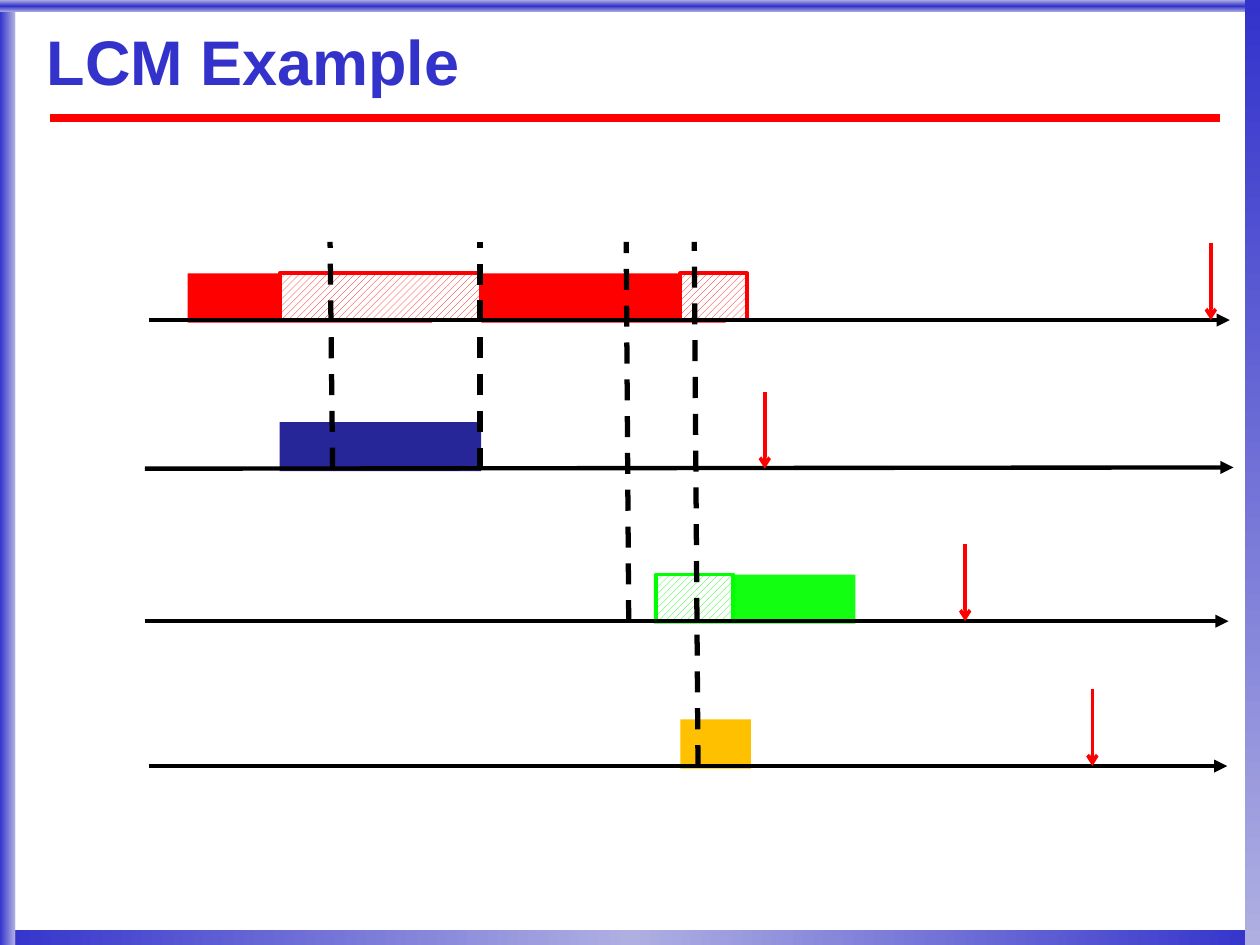
from typing import NamedTuple

from lxml import etree
from pptx import Presentation, util as u
from pptx.dml.color import RGBColor
from pptx.enum import dml, shapes, text
from pptx.oxml.ns import qn

W, H = 10, 7.5
BLOCK_RISE, DEADLINE_RISE, GUIDE_TOP = 0.37, 0.61, 1.92
COLORS = {"blue": "3333CC", "pale": "AFAFE2", "red": "FF0000", "navy": "262699",
          "green": "12FF12", "lime": "00FF00", "amber": "FFC000",
          "black": "000000", "white": "FFFFFF", "shade": "B2B2B2"}


class Border(NamedTuple):
    box: tuple[float, float, float, float]  # shares of the slide's size
    stops: tuple[str, ...]
    angle: int  # clockwise


class Axis(NamedTuple):
    left: float
    right: float
    y: float
    end_y: float
    deadline: float


class Block(NamedTuple):
    row: int
    left: float
    width: float
    color: str
    hatched: bool = False


class Guide(NamedTuple):
    row: int
    foot: float
    head: float


BORDERS = [
    Border((0, 0.984, 1, 0.016), ("blue", "pale", "blue"), 0),
    Border((0, 0, 0.012, 1), ("blue", "pale"), 0),
    Border((0, 0, 1, 0.013), ("pale", "blue", "pale"), 90),
    Border((0.988, 0, 0.012, 1), ("blue", "pale"), 90),
]
AXES = [
    Axis(1.18, 9.76, 2.54, 2.54, 9.61),
    Axis(1.15, 9.79, 3.72, 3.71, 6.07),
    Axis(1.15, 9.75, 4.93, 4.93, 7.66),
    Axis(1.18, 9.74, 6.08, 6.08, 8.67),
]
BLOCKS = [
    Block(0, 1.49, 1.94, "red"),
    Block(1, 2.22, 1.6, "navy"),
    Block(0, 2.22, 1.6, "red", True),
    Block(0, 3.82, 1.94, "red"),
    Block(2, 5.19, 1.6, "green"),
    Block(2, 5.21, 0.61, "lime", True),
    Block(3, 5.4, 0.56, "amber"),
    Block(0, 5.4, 0.53, "red", True),
]
GUIDES = [Guide(1, 2.64, 2.62), Guide(1, 3.81, 3.81),
          Guide(2, 4.99, 4.97), Guide(3, 5.54, 5.51)]


def rgb(name: str) -> RGBColor:
    return RGBColor.from_string(COLORS[name])


def add_rect(s, left: float, top: float, width: float, height: float):
    sp = s.shapes.add_shape(shapes.MSO_SHAPE.RECTANGLE,
                            *map(u.Inches, (left, top, width, height)))
    sp.shadow.inherit = False
    sp.line.fill.background()
    return sp


def add_border(s, border: Border) -> None:
    x, y, w, h = border.box
    sp = add_rect(s, x * W, y * H, w * W, h * H)
    sp.fill.gradient()
    grad = sp._element.spPr.find(qn("a:gradFill"))
    stops = grad.find(qn("a:gsLst"))
    for gs in list(stops):
        stops.remove(gs)
    for i, name in enumerate(border.stops):
        position = 100000 * i // (len(border.stops) - 1)
        gs = etree.SubElement(stops, qn("a:gs"), pos=str(position))
        etree.SubElement(gs, qn("a:srgbClr"), val=COLORS[name])
    grad.find(qn("a:lin")).set("ang", str(border.angle * 60000))


def add_block(s, block: Block) -> None:
    height = BLOCK_RISE if block.hatched else BLOCK_RISE + 0.02
    sp = add_rect(s, block.left, AXES[block.row].y - BLOCK_RISE, block.width, height)
    if block.hatched:
        sp.fill.patterned()
        sp.fill.pattern = dml.MSO_PATTERN.WIDE_UPWARD_DIAGONAL
        sp.fill.fore_color.rgb = rgb(block.color)
        sp.fill.back_color.rgb = rgb("white")
        sp.line.color.rgb = rgb(block.color)
        sp.line.width = u.Pt(2.25)
    else:
        sp.fill.solid()
        sp.fill.fore_color.rgb = rgb(block.color)


def add_line(s, start: tuple[float, float], end: tuple[float, float], color: str,
             width: float, dashed: bool = False, arrow: str = "") -> None:
    line = s.shapes.add_connector(shapes.MSO_CONNECTOR.STRAIGHT,
                                  *map(u.Inches, (*start, *end)))
    line.line.color.rgb = rgb(color)
    line.line.width = u.Pt(width)
    if dashed:
        line.line.dash_style = dml.MSO_LINE.DASH
    if arrow:
        etree.SubElement(line.line._get_or_add_ln(), qn("a:tailEnd"), type=arrow)
    etree.SubElement(line._element.spPr, qn("a:effectLst"))


def set_title(s) -> None:
    title = s.shapes.title
    title.left, title.top, title.width, title.height = map(
        u.Inches, (0.37, 0.15, 9.47, 0.74))
    tf = title.text_frame
    tf.text = "LCM Example"
    tf.word_wrap = True
    tf.auto_size = text.MSO_AUTO_SIZE.NONE
    tf.vertical_anchor = text.MSO_ANCHOR.MIDDLE
    tf.margin_left = tf.margin_top = tf.margin_right = tf.margin_bottom = 0
    p = tf.paragraphs[0]
    p.alignment = text.PP_ALIGN.LEFT
    p.line_spacing = 0.87
    r = p.runs[0]
    r.font.name, r.font.size, r.font.bold = "Arial", u.Pt(36), True
    r.font.color.rgb = rgb("blue")
    effects = etree.Element(qn("a:effectLst"))
    shadow = etree.SubElement(effects, qn("a:outerShdw"), dist="38100", dir="2700000")
    etree.SubElement(shadow, qn("a:srgbClr"), val=COLORS["shade"])
    r.font._element.find(qn("a:solidFill")).addnext(effects)


def main() -> None:
    prs = Presentation()
    prs.slide_width, prs.slide_height = u.Inches(W), u.Inches(H)
    s = prs.slides.add_slide(prs.slide_layouts[5])
    set_title(s)
    for border in BORDERS:
        add_border(s, border)
    add_line(s, (0.4, 0.94), (9.68, 0.94), "red", 4.5)
    for block in BLOCKS:
        add_block(s, block)
    for guide in GUIDES:
        add_line(s, (guide.foot, AXES[guide.row].y), (guide.head, GUIDE_TOP),
                 "black", 3, dashed=True)
    for axis in AXES:
        add_line(s, (axis.left, axis.y), (axis.right, axis.end_y),
                 "black", 2.5, arrow="triangle")
    for axis in AXES:
        add_line(s, (axis.deadline, axis.y - DEADLINE_RISE), (axis.deadline, axis.y),
                 "red", 2, arrow="arrow")
    prs.save("out.pptx")


if __name__ == "__main__":
    main()
